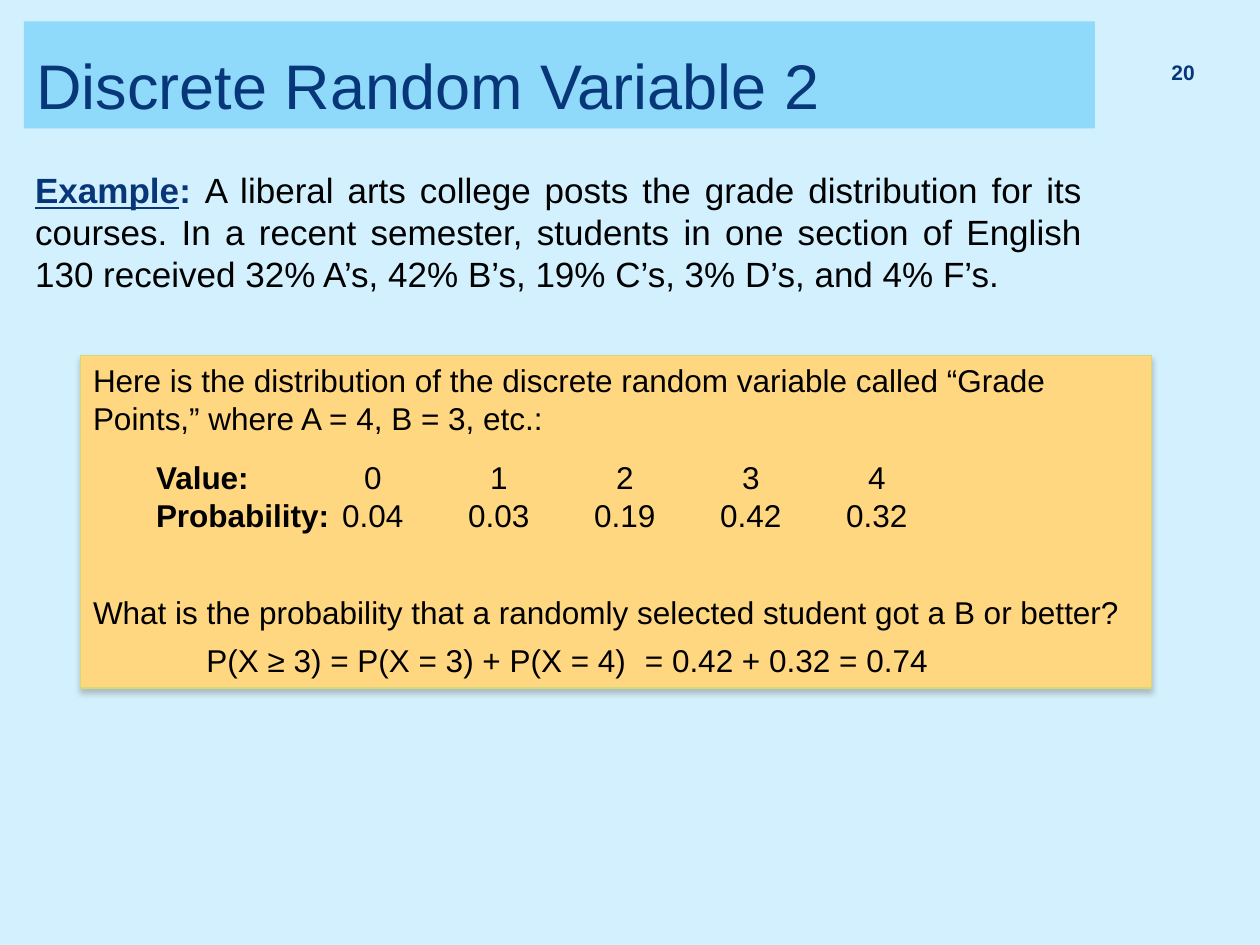
from lxml import etree
from pptx import Presentation
from pptx.dml.color import RGBColor
from pptx.enum.shapes import MSO_SHAPE
from pptx.enum.text import MSO_ANCHOR, PP_ALIGN
from pptx.oxml.ns import qn
from pptx.util import Inches, Pt

RECT = MSO_SHAPE.RECTANGLE
TOP, MIDDLE, BOTTOM = MSO_ANCHOR.TOP, MSO_ANCHOR.MIDDLE, MSO_ANCHOR.BOTTOM
LEFT, RIGHT, FULL = PP_ALIGN.LEFT, PP_ALIGN.RIGHT, PP_ALIGN.JUSTIFY

CELL = 0.1
NAVY, BLACK = "073779", "000000"
GRADES = [("0", "0.04"), ("1", "0.03"), ("2", "0.19"), ("3", "0.42"), ("4", "0.32")]
STOPS = [(0.5, "l")] + [(2.22 + n, "ctr") for n in range(len(GRADES))]


def color(code):
    return RGBColor.from_string(code)


def grid(*cells):
    return [Inches(n * CELL) for n in cells]


def set_frame(shape, anchor):
    frame = shape.text_frame
    frame.word_wrap = True
    frame.vertical_anchor = anchor
    return frame


def add_box(slide, place, fill, anchor):
    box = slide.shapes.add_shape(RECT, *grid(*place))
    box.shadow.inherit = False
    box.fill.solid()
    box.fill.fore_color.rgb = color(fill)
    box.line.fill.background()
    return box, set_frame(box, anchor)


def add_label(slide, place, anchor):
    return set_frame(slide.shapes.add_textbox(*grid(*place)), anchor)


def add_shade(box):
    effects = box._element.spPr.find(qn("a:effectLst"))
    shade = etree.SubElement(
        effects, qn("a:outerShdw"), blurRad=str(Pt(3)), dist=str(Pt(2.4)),
        dir="5400000", rotWithShape="0")
    tint = etree.SubElement(shade, qn("a:srgbClr"), val="808080")
    etree.SubElement(tint, qn("a:alpha"), val="45000")


def set_tabs(para, stops):
    tabs = etree.SubElement(para._p.get_or_add_pPr(), qn("a:tabLst"))
    for pos, kind in stops:
        etree.SubElement(tabs, qn("a:tab"), pos=str(Inches(pos)), algn=kind)


def write(para, parts, size, align=LEFT, after=0, stops=()):
    para.alignment = align
    para.space_after = Pt(after)
    if stops:
        set_tabs(para, stops)
    for text, code, bold, under in parts:
        run = para.add_run()
        run.text = text
        font = run.font
        font.name, font.size = "Arial", Pt(size)
        font.bold, font.underline = bold, under
        font.color.rgb = color(code)


def plain(text):
    return [(text, BLACK, False, False)]


def add_title(slide):
    _, frame = add_box(slide, (1.9, 1.7, 85, 8.5), "8FD9FB", BOTTOM)
    write(frame.paragraphs[0],
          [("Discrete Random Variable 2", NAVY, False, False)], 36)


def add_number(slide):
    para = add_label(slide, (90.3, 3.9, 5.5, 4), MIDDLE).paragraphs[0]
    para.line_spacing = 0.8
    write(para, [("20", NAVY, True, False)], 12, RIGHT)


def add_intro(slide):
    frame = add_label(slide, (1.8, 12.9, 85.1, 11.1), TOP)
    write(frame.paragraphs[0], [
        ("Example", NAVY, True, True),
        (": ", NAVY, True, False),
        ("A liberal arts college posts the grade distribution for its courses. "
         "In a recent semester, students in one section of English 130 received "
         "32% A’s, 42% B’s, 19% C’s, 3% D’s, and 4% F’s.", BLACK, False, False),
    ], 20, FULL)


def add_answer(slide):
    box, frame = add_box(slide, (6.4, 28.2, 85, 26.4), "FFD780", TOP)
    box.line.color.rgb = color("D2DA7A")
    box.line.width = Pt(0.79)
    add_shade(box)
    values, odds = zip(*GRADES)

    def row(name, items):
        return [("\t" + name, BLACK, True, False)] + plain("\t" + "\t".join(items))

    lines = [
        (plain("Here is the distribution of the discrete random variable called "
               "“Grade Points,” where A = 4, B = 3, etc.:"), 12, ()),
        (row("Value:", values), 0, STOPS),
        (row("Probability:", odds), 34, STOPS),
        (plain("What is the probability that a randomly selected student "
               "got a B or better?"), 6, ()),
        (plain("\tP(X ≥ 3) = P(X = 3) + P(X = 4)\t= 0.42 + 0.32 = 0.74"), 6,
         [(0.9, "l"), (4.38, "l")]),
    ]
    for n, (parts, after, stops) in enumerate(lines):
        para = frame.add_paragraph() if n else frame.paragraphs[0]
        write(para, parts, 18, after=after, stops=stops)


def main():
    deck = Presentation()
    deck.slide_width, deck.slide_height = grid(100, 75)
    slide = deck.slides.add_slide(deck.slide_layouts[6])
    back = slide.background.fill
    back.solid()
    back.fore_color.rgb = color("D2F0FD")
    add_title(slide)
    add_number(slide)
    add_intro(slide)
    add_answer(slide)
    deck.save("out.pptx")


if __name__ == "__main__":
    main()
